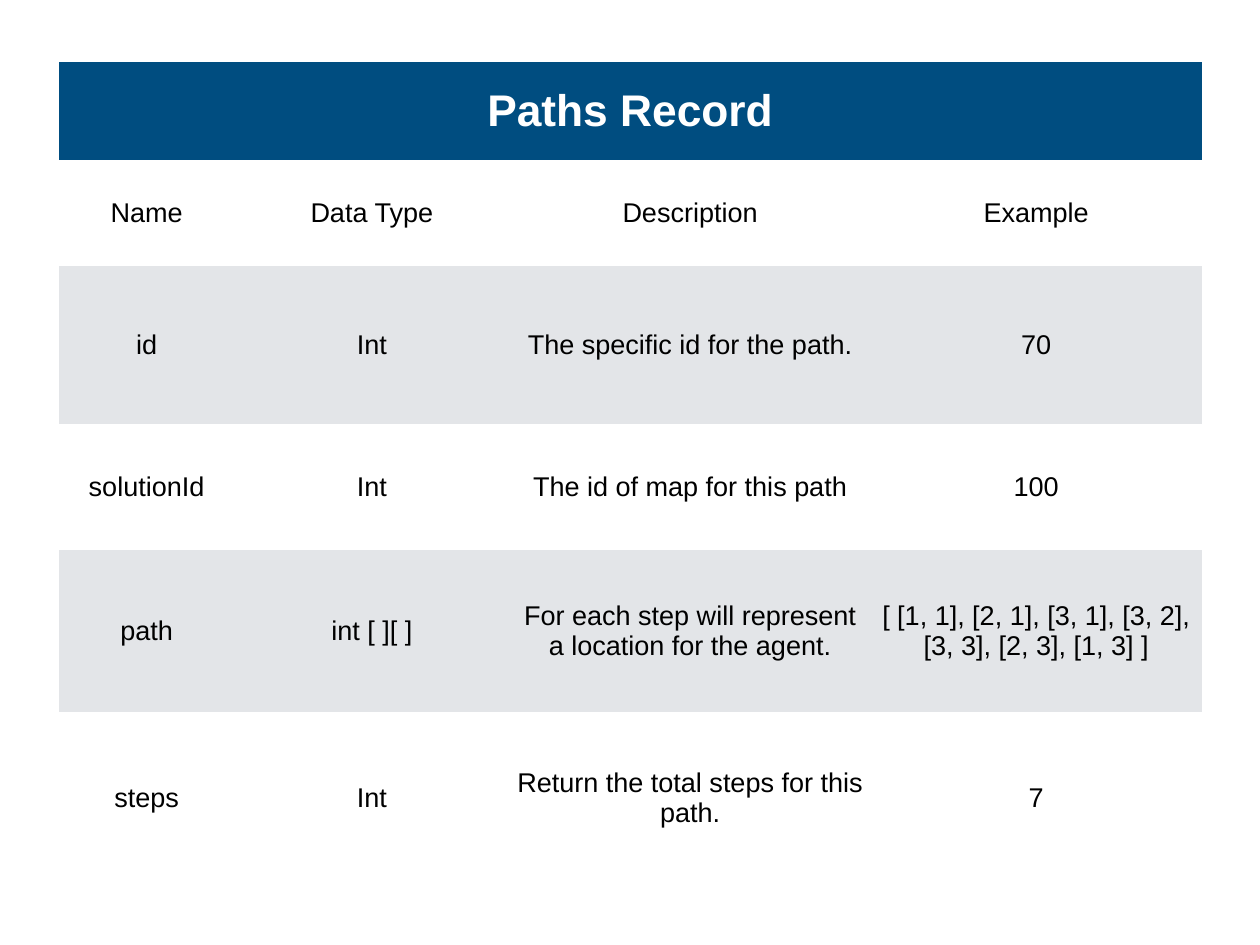
import dataclasses

import pptx
import pptx.dml.color
import pptx.enum.text
import pptx.oxml.ns
import pptx.table
import pptx.util

Pt = pptx.util.Pt

NO_STYLE_NO_GRID = "{2D5ABB26-0587-4C30-8999-92F81FD0307C}"
COL_WIDTHS = (142.8, 223.4, 97.9, 154.8, 41.2, 268.7)
FIELD_COLS = (0, 1, 2, 5)
DESCRIPTION_FIRST, DESCRIPTION_LAST = 2, 4
BANDS = ("FFFFFF", "E3E5E8")
TITLE_HEIGHT = 79.9


@dataclasses.dataclass
class Field:
    height: float
    name: str
    data_type: str
    description: str
    example: str

    def texts(self) -> tuple[str, ...]:
        return self.name, self.data_type, self.description, self.example


FIELDS = (
    Field(86.2, "Name", "Data Type", "Description", "Example"),
    Field(128.9, "id", "Int", "The specific id for the path.", "70"),
    Field(102, "solutionId", "Int", "The id of map for this path", "100"),
    Field(131.8, "path", "int [ ][ ]",
          "For each step will represent a location for the agent.",
          "[ [1, 1], [2, 1], [3, 1], [3, 2], [3, 3], [2, 3], [1, 3] ]"),
    Field(139.3, "steps", "Int", "Return the total steps for this path.", "7"),
)


def rgb(value: str) -> pptx.dml.color.RGBColor:
    return pptx.dml.color.RGBColor.from_string(value)


def write(cell: pptx.table._Cell, text: str, *, fill: str, size: float = 22,
          color: str = "000000", bold: bool = False) -> None:
    cell.fill.solid()
    cell.fill.fore_color.rgb = rgb(fill)
    cell.vertical_anchor = pptx.enum.text.MSO_ANCHOR.MIDDLE
    cell.margin_left = cell.margin_right = Pt(4)
    cell.margin_top = cell.margin_bottom = Pt(4)
    p = cell.text_frame.paragraphs[0]
    p.alignment = pptx.enum.text.PP_ALIGN.CENTER
    r = p.add_run()
    r.text = text
    r.font.name = "Arial"
    r.font.size = Pt(size)
    r.font.bold = bold
    r.font.color.rgb = rgb(color)


def add_field(table: pptx.table.Table, row: int, field: Field) -> None:
    table.rows[row].height = Pt(field.height)
    table.cell(row, DESCRIPTION_FIRST).merge(table.cell(row, DESCRIPTION_LAST))
    for col, text in zip(FIELD_COLS, field.texts()):
        write(table.cell(row, col), text, fill=BANDS[(row - 1) % 2])


prs = pptx.Presentation()
prs.slide_width, prs.slide_height = Pt(1024), Pt(768)
s = prs.slides.add_slide(prs.slide_layouts[6])

height = TITLE_HEIGHT + sum(field.height for field in FIELDS)
frame = s.shapes.add_table(len(FIELDS) + 1, len(COL_WIDTHS), Pt(47.7), Pt(50),
                           Pt(sum(COL_WIDTHS)), Pt(height))
table = frame.table
table.horz_banding = False
style = next(frame.element.iter(pptx.oxml.ns.qn("a:tableStyleId")))
style.text = NO_STYLE_NO_GRID

for column, width in zip(table.columns, COL_WIDTHS):
    column.width = Pt(width)

table.rows[0].height = Pt(TITLE_HEIGHT)
table.cell(0, 0).merge(table.cell(0, len(COL_WIDTHS) - 1))
write(table.cell(0, 0), "Paths Record", fill="004D80", size=36,
      color="FFFFFF", bold=True)
for row, field in enumerate(FIELDS, start=1):
    add_field(table, row, field)

prs.save("out.pptx")
